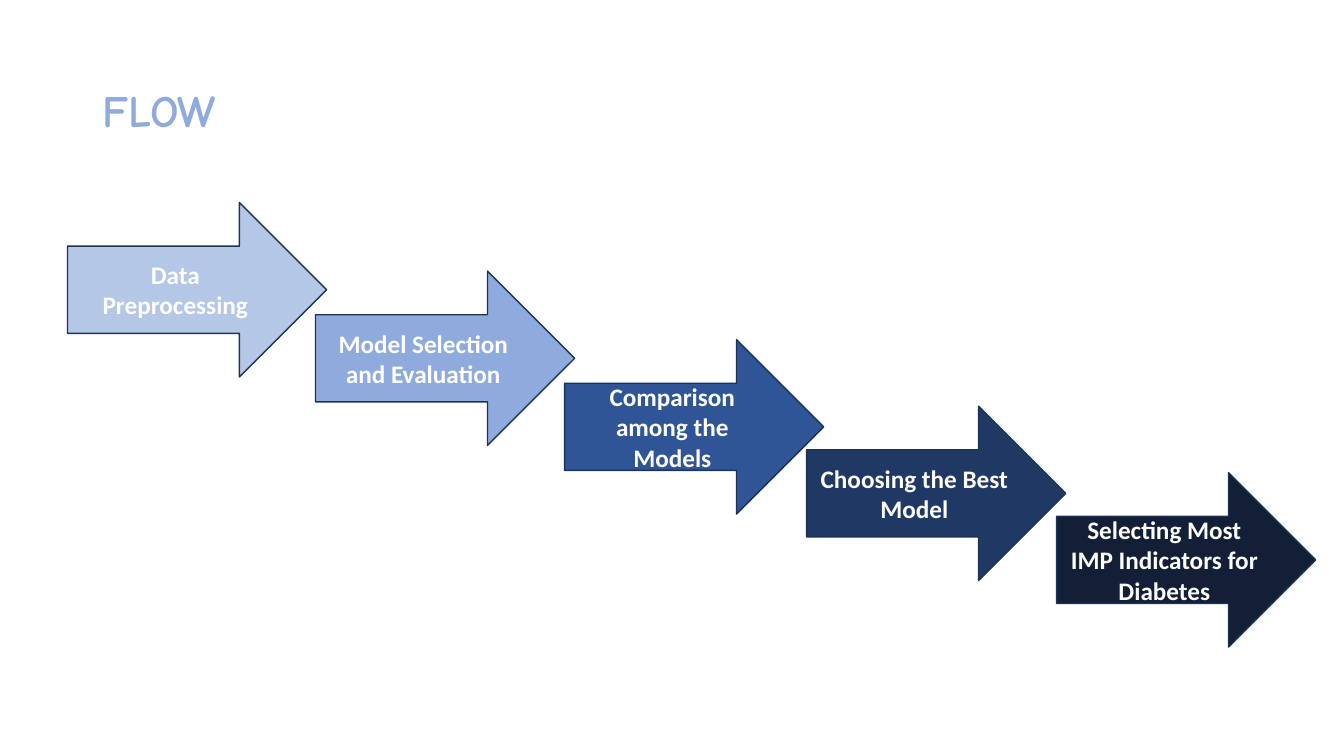
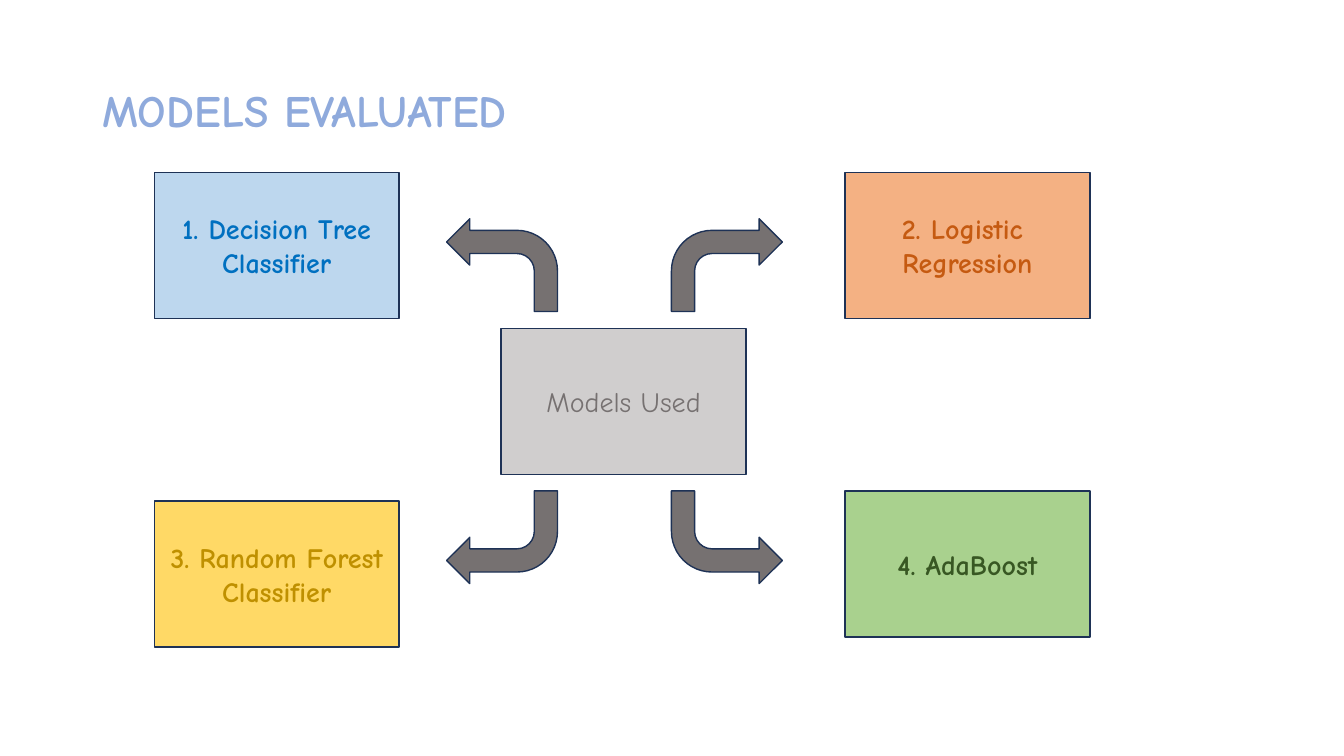
from pptx import Presentation
from pptx.dml.color import RGBColor
from pptx.enum.shapes import MSO_SHAPE
from pptx.enum.text import MSO_ANCHOR, PP_ALIGN
from pptx.util import Emu, Pt

RECT = MSO_SHAPE.RECTANGLE
RIGHT_ARROW = MSO_SHAPE.RIGHT_ARROW
BENT_ARROW = MSO_SHAPE.BENT_ARROW
LEFT, CENTER = PP_ALIGN.LEFT, PP_ALIGN.CENTER
MIDDLE = MSO_ANCHOR.MIDDLE

PX = 9144  # 100 px to the inch
OUTLINE, GREY = "1E3256", "767171"
TITLE = {"name": "Comic Neue", "size": Pt(32), "bold": True}
STEP = {"name": "Calibri", "size": Pt(18), "bold": True}
MODEL = {"name": "Comic Neue", "size": Pt(20), "bold": True}
HUB = {**MODEL, "bold": False}


def rgb(color):
    return RGBColor.from_string(color)


class Deck:
    def __init__(self, width, height):
        self.prs = Presentation()
        self.prs.slide_width, self.prs.slide_height = Emu(width * PX), Emu(height * PX)
        self.slide = None

    def add_slide(self, title):
        self.slide = self.prs.slides.add_slide(self.prs.slide_layouts[6])
        fill = self.slide.background.fill
        fill.solid()
        fill.fore_color.rgb = rgb("FFFFFF")
        box = (Emu(v * PX) for v in (92, 40, 1150, 145))
        tf = self.slide.shapes.add_textbox(*box).text_frame
        self.set_text(tf, title, TITLE, "8FAADC", LEFT, 0.9)

    def set_text(self, tf, text, font, color, align=CENTER, spacing=None):
        """Fill a text frame, one paragraph to each line of text."""
        tf.word_wrap = True
        tf.vertical_anchor = MIDDLE
        for i, line in enumerate(text.split("\n")):
            p = tf.add_paragraph() if i else tf.paragraphs[0]
            p.alignment, p.line_spacing = align, spacing
            r = p.add_run()
            r.text = line
            for key, value in font.items():
                setattr(r.font, key, value)
            r.font.color.rgb = rgb(color)

    def shape(self, kind, box, fill):
        s = self.slide.shapes.add_shape(kind, *(Emu(v * PX) for v in box))
        s.shadow.inherit = False
        s.fill.solid()
        s.fill.fore_color.rgb = rgb(fill)
        s.line.color.rgb = rgb(OUTLINE)
        s.line.width = Pt(1)
        return s

    def step_arrow(self, x, y, text, fill):
        s = self.shape(RIGHT_ARROW, (x, y, 257, 173), fill)
        self.set_text(s.text_frame, text, STEP, "FFFFFF")

    def model_box(self, x, y, text, fill, color, font=MODEL):
        s = self.shape(RECT, (x, y, 243, 145), fill)
        self.set_text(s.text_frame, text, font, color)

    def bent_arrow(self, x, y, flips):
        s = self.shape(BENT_ARROW, (x, y, 110, 92), GREY)
        for axis in flips:
            s.element.spPr.xfrm.set("flip" + axis, "1")


def flow_slide(deck):
    deck.add_slide("FLOW")
    for step in (
        (67, 201, "Data Preprocessing", "B4C7E7"),
        (313, 269, "Model Selection and Evaluation", "8FAADC"),
        (560, 337, "Comparison among the Models", "2F5597"),
        (800, 403, "Choosing the Best Model", "203864"),
        (1048, 469, "Selecting Most IMP Indicators for Diabetes", "121F36"),
    ):
        deck.step_arrow(*step)


def models_slide(deck):
    deck.add_slide("MODELS EVALUATED")
    deck.model_box(497, 326, "Models Used", "D0CECE", GREY, HUB)
    left, right, top = 153, 838, 171
    for model in (
        (left, top, "1. Decision Tree Classifier", "BDD7EE", "0070C0"),
        (left, 497, "3. Random Forest Classifier", "FFD966", "BF9000"),
        (right, top, "2. Logistic \nRegression", "F4B183", "C55A11"),
        (right, 487, "4. AdaBoost", "A9D18E", "385723"),
    ):
        deck.model_box(*model)
    for x, flip_x in ((666, ""), (443, "H")):
        for y, flip_y in ((217, ""), (487, "V")):
            deck.bent_arrow(x, y, flip_x + flip_y)


def main():
    deck = Deck(1333, 750)
    flow_slide(deck)
    models_slide(deck)
    deck.prs.save("out.pptx")


if __name__ == "__main__":
    main()
